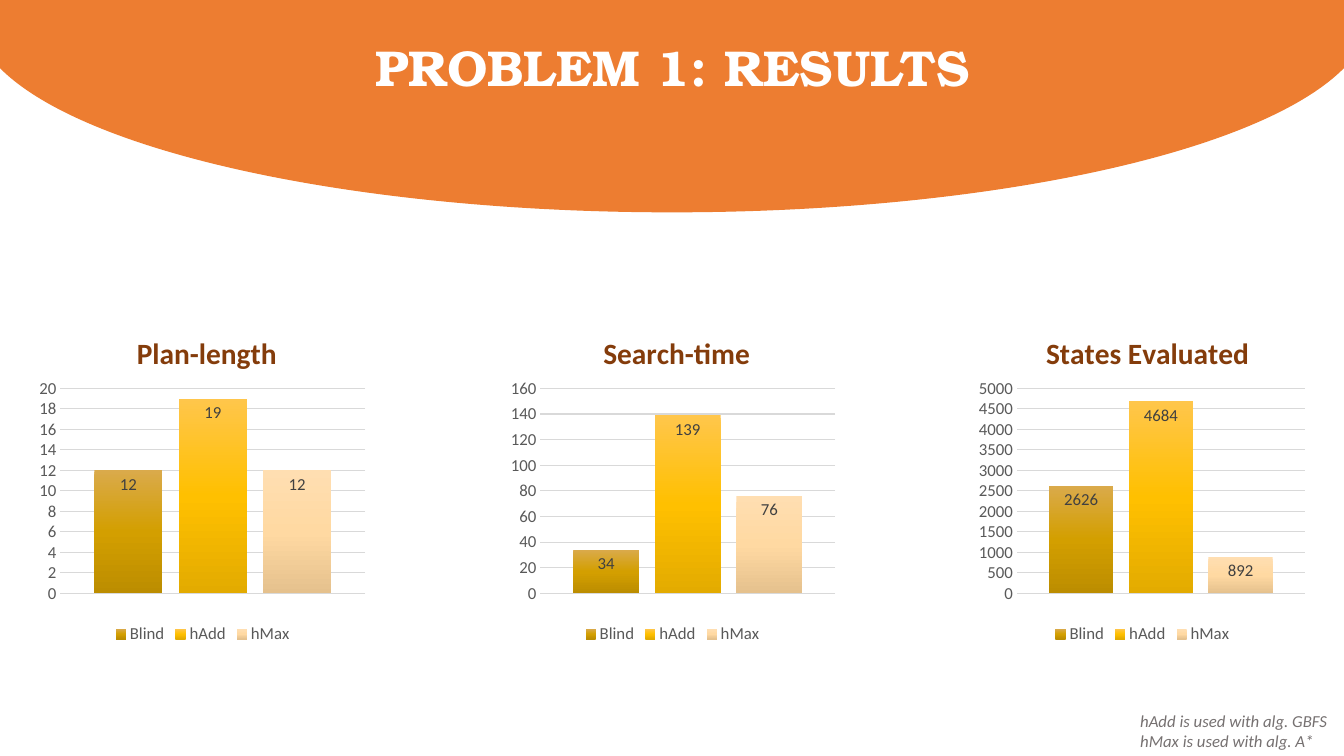
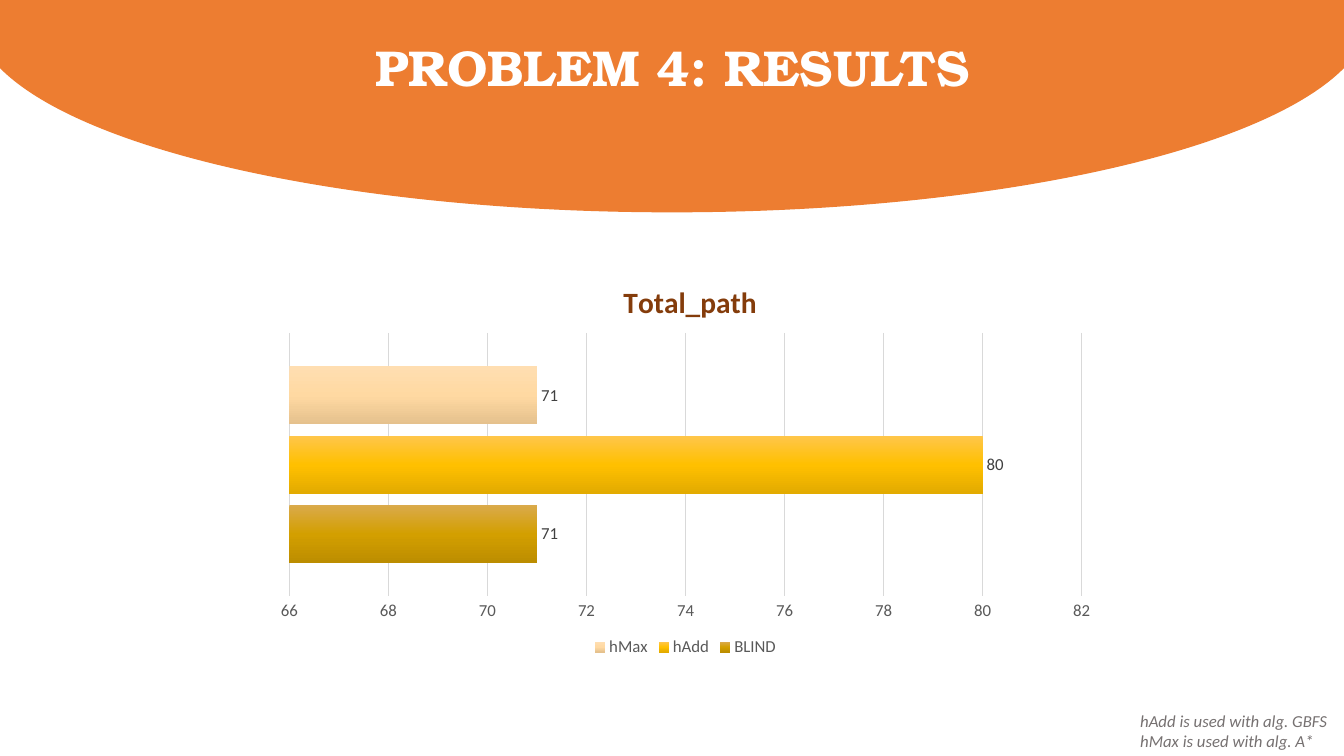
"""Build two result slides that compare three planning heuristics with charts."""
from pptx import Presentation
from pptx.chart.data import CategoryChartData
from pptx.dml.color import RGBColor
from pptx.enum.chart import XL_CHART_TYPE, XL_LABEL_POSITION, XL_LEGEND_POSITION, XL_TICK_MARK
from pptx.enum.shapes import MSO_SHAPE
from pptx.enum.text import MSO_AUTO_SIZE, PP_ALIGN
from pptx.oxml import parse_xml
from pptx.oxml.ns import nsdecls, qn
from pptx.util import Inches, Pt

COLUMN, BAR = XL_CHART_TYPE.COLUMN_CLUSTERED, XL_CHART_TYPE.BAR_CLUSTERED
INSIDE, OUTSIDE = XL_LABEL_POSITION.INSIDE_END, XL_LABEL_POSITION.OUTSIDE_END
BOTTOM, NO_TICK = XL_LEGEND_POSITION.BOTTOM, XL_TICK_MARK.NONE
OVAL, FIT_SHAPE = MSO_SHAPE.OVAL, MSO_AUTO_SIZE.SHAPE_TO_FIT_TEXT
LEFT, CENTER = PP_ALIGN.LEFT, PP_ALIGN.CENTER

COLORS = {
    "band": "ED7D31", "heading": "FFFFFF", "note": "767171", "chart_title": "843C0B",
    "axis": "595959", "grid": "D9D9D9", "label": "404040", "chart": "000000",
}
GRADIENTS = [
    ("DAAA4B", "D39F00", "BC8D00"),
    ("FFC64B", "FFC000", "E3AB00"),
    ("FFDEB1", "FFD9A2", "E5C18D"),
]
HEADING_FONT, BODY_FONT = "TeX Gyre Bonum", "Calibri"
NOTES = ["hAdd is used with alg. GBFS", "hMax is used with alg. A*"]

COLUMN_STYLE = {
    "kind": COLUMN, "names": ("Blind", "hAdd", "hMax"), "gap": 100, "overlap": -24,
    "labels": INSIDE, "title_top": 0.06, "plot_top": 0.24, "plot_height": 0.6,
}
BAR_STYLE = {
    "kind": BAR, "names": ("BLIND", "hAdd", "hMax"), "gap": 115, "overlap": -20,
    "labels": OUTSIDE, "title_top": 0.05, "plot_top": 0.19, "plot_height": 0.65,
}
PLOT_RIGHT = {COLUMN: 0.98, BAR: 0.97}

SLIDES = [
    {
        "heading": "PROBLEM 1: RESULTS", "style": COLUMN_STYLE,
        "area": (0.33, 3.04, 3.36, 3.39), "pitch": 4.66,
        "charts": [
            {"title": "Plan-length", "values": (12, 19, 12), "scale": (0, 20, 2),
             "title_left": 0.29, "plot_left": 0.08},
            {"title": "Search-time", "values": (34, 139, 76), "scale": (0, 160, 20),
             "title_left": 0.28, "plot_left": 0.11},
            {"title": "States Evaluated", "values": (2626, 4684, 892), "scale": (0, 5000, 500),
             "title_left": 0.2, "plot_left": 0.13},
        ],
    },
    {
        "heading": "PROBLEM 4: RESULTS", "style": BAR_STYLE,
        "area": (2.62, 2.54, 8.36, 4.02), "pitch": 0,
        "charts": [
            {"title": "Total_path", "values": (71, 80, 71), "scale": (66, 82, 2),
             "title_left": 0.42, "plot_left": 0.03},
        ],
    },
]


def color(name):
    return RGBColor.from_string(COLORS[name])


def set_font(font, size, color_name, name=BODY_FONT, bold=False, italic=False):
    font.size, font.name, font.bold, font.italic = Pt(size), name, bold, italic
    font.color.rgb = color(color_name)


def add_text(page, area, lines, align, *style, **flags):
    box = page.shapes.add_textbox(*map(Inches, area))
    frame = box.text_frame
    frame.word_wrap, frame.auto_size = True, FIT_SHAPE
    for index, line in enumerate(lines):
        para = frame.add_paragraph() if index else frame.paragraphs[0]
        para.alignment = align
        span = para.add_run()
        span.text = line
        set_font(span.font, *style, **flags)


def add_frame(page, heading):
    band = page.shapes.add_shape(OVAL, *map(Inches, (-0.25, -1.81, 13.83, 3.91)))
    band.shadow.inherit = False
    band.fill.solid()
    band.fill.fore_color.rgb = band.line.color.rgb = color("band")
    band.line.width = Pt(1)
    add_text(page, (3.46, 0.31, 6.42, 0.71), [heading], CENTER,
             36, "heading", HEADING_FONT, bold=True)
    add_text(page, (11.21, 7, 2.12, 0.5), NOTES, LEFT, 12, "note", italic=True)


def place(element, position, target=None, **fractions):
    for old in element.findall(qn("c:layout")):
        element.remove(old)
    inner = f'<c:layoutTarget val="{target}"/>' if target else ""
    modes = "".join(f'<c:{key}Mode val="edge"/>' for key in "xy")
    values = "".join(f'<c:{key} val="{value:.2f}"/>' for key, value in fractions.items())
    element.insert(position, parse_xml(
        f'<c:layout {nsdecls("c")}><c:manualLayout>{inner}{modes}{values}'
        '</c:manualLayout></c:layout>'))


def fill_gradient(series, stops):
    marks = "".join(
        f'<a:gs pos="{index * 50000}"><a:srgbClr val="{stop}"/></a:gs>'
        for index, stop in enumerate(stops))
    series._element.get_or_add_spPr().append(parse_xml(
        f'<a:gradFill {nsdecls("a")} rotWithShape="1"><a:gsLst>{marks}</a:gsLst>'
        '<a:lin ang="5400000" scaled="0"/></a:gradFill>'))


def style_axes(chart, scale):
    chart.category_axis.visible = False
    axis = chart.value_axis
    axis.minimum_scale, axis.maximum_scale, axis.major_unit = scale
    axis.major_tick_mark = axis.minor_tick_mark = NO_TICK
    axis.format.line.fill.background()
    set_font(axis.tick_labels.font, 12, "axis")
    grid = axis.major_gridlines.format.line
    grid.color.rgb, grid.width = color("grid"), Pt(0.75)


def add_result_chart(page, area, style, item):
    data = CategoryChartData()
    data.categories = ["1"]
    for name, value in zip(style["names"], item["values"]):
        data.add_series(name, [value])
    chart = page.shapes.add_chart(style["kind"], *map(Inches, area), data).chart
    set_font(chart.font, 10, "chart")

    chart.has_title = True
    title = chart.chart_title
    span = title.text_frame.paragraphs[0].add_run()
    span.text = item["title"]
    set_font(span.font, 21, "chart_title", bold=True)
    place(title._element, 1, x=item["title_left"], y=style["title_top"])

    chart.has_legend = True
    chart.legend.position, chart.legend.include_in_layout = BOTTOM, False
    set_font(chart.legend.font, 12, "axis")
    style_axes(chart, item["scale"])

    plot = chart.plots[0]
    plot.gap_width, plot.overlap = style["gap"], style["overlap"]
    plot.vary_by_categories = False
    for series, stops in zip(plot.series, GRADIENTS):
        fill_gradient(series, stops)
        labels = series.data_labels
        labels.show_value, labels.position = True, style["labels"]
        set_font(labels.font, 12, "label")
    place(chart._chartSpace.chart.plotArea, 0, "inner",
          x=item["plot_left"], y=style["plot_top"],
          w=PLOT_RIGHT[style["kind"]] - item["plot_left"], h=style["plot_height"])


def main():
    deck = Presentation()
    deck.slide_width, deck.slide_height = Inches(13.33), Inches(7.5)
    for content in SLIDES:
        page = deck.slides.add_slide(deck.slide_layouts[6])
        add_frame(page, content["heading"])
        left, *rest = content["area"]
        for index, item in enumerate(content["charts"]):
            area = (left + index * content["pitch"], *rest)
            add_result_chart(page, area, content["style"], item)
    deck.save("out.pptx")


if __name__ == "__main__":
    main()
